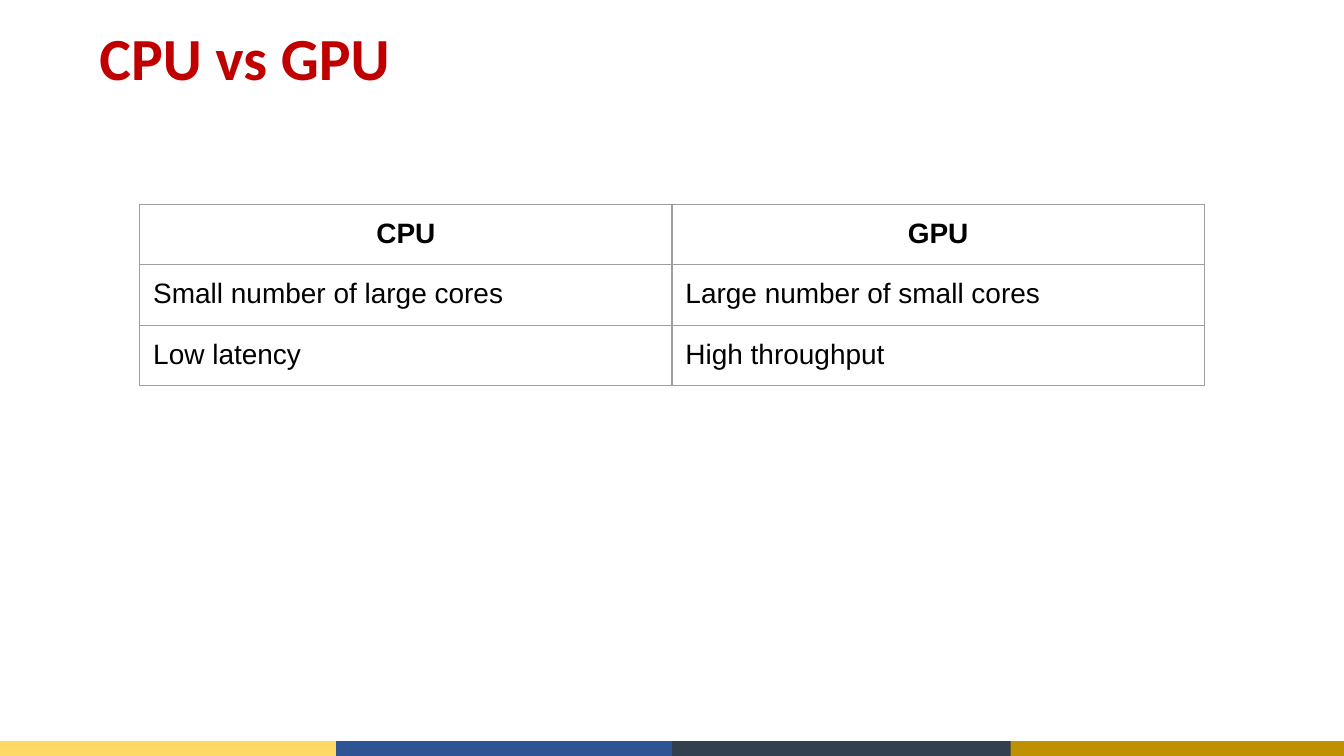
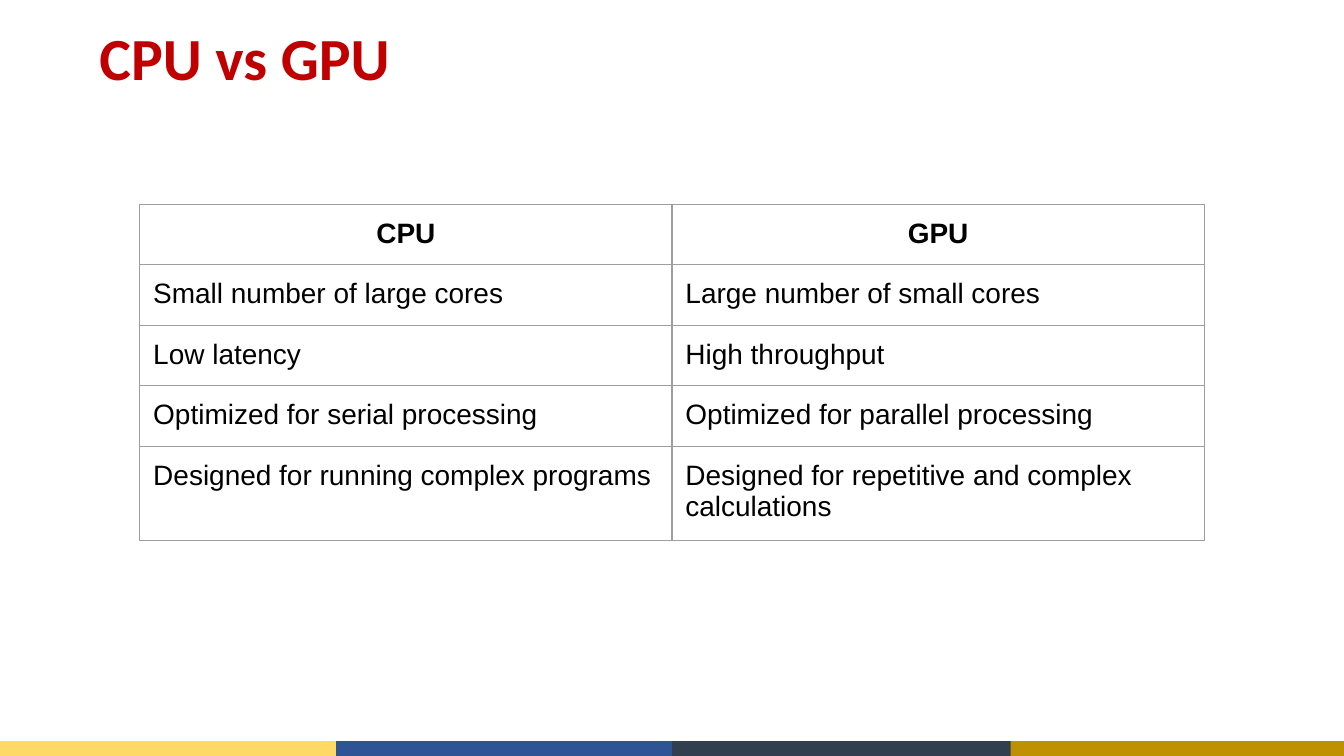
from dataclasses import dataclass
from typing import Any

from lxml import etree
from pptx import Presentation
from pptx.dml.color import RGBColor
from pptx.enum.shapes import MSO_SHAPE
from pptx.enum.text import MSO_ANCHOR, PP_ALIGN
from pptx.oxml.ns import qn
from pptx.util import Inches, Pt

RECT = MSO_SHAPE.RECTANGLE
MIDDLE, TOP = MSO_ANCHOR.MIDDLE, MSO_ANCHOR.TOP
LEFT, CENTER = PP_ALIGN.LEFT, PP_ALIGN.CENTER

# Shared look, on a 16:9 page
WIDE = 10
HIGH = WIDE * 9 / 16
RED, BLACK, GREY = "C00000", "000000", "9E9E9E"
TITLE = {"name": "Calibri", "size": Pt(32), "bold": True}
HEAD = {"name": "Arial", "size": Pt(15), "bold": True}
BODY = {**HEAD, "bold": False}
SIDES = ("left", "right", "top", "bottom")
EDGES = ("a:lnL", "a:lnR", "a:lnT", "a:lnB")


@dataclass
class Band:
    slot: int
    color: str
    lap: float = 0.02


# Footer bands from back to front; each laps under its neighbour
BANDS = [
    Band(0, "FFD966"),
    Band(3, "BF9000", 0),
    Band(1, "2F5496"),
    Band(2, "323F4F"),
]
BAND_W, BAND_H = WIDE / len(BANDS), 0.11

# Table content: the second slide shows every row
ROWS = [
    ("CPU", "GPU"),
    ("Small number of large cores", "Large number of small cores"),
    ("Low latency", "High throughput"),
    ("Optimized for serial processing", "Optimized for parallel processing"),
    ("Designed for running complex programs",
     "Designed for repetitive and complex calculations"),
]
COL_W, ROW_H = 3.96, 0.42


def rgb(code: str) -> RGBColor:
    return RGBColor.from_string(code)


def format_font(font: Any, style: dict[str, Any], color: str) -> None:
    for key, value in style.items():
        setattr(font, key, value)
    font.color.rgb = rgb(color)


def set_inset(box: Any, insets: tuple[float, ...]) -> None:
    for side, inset in zip(SIDES, insets):
        setattr(box, f"margin_{side}", Inches(inset))


def draw_band(slide: Any, band: Band) -> None:
    shape = slide.shapes.add_shape(
        RECT, Inches(band.slot * BAND_W), Inches(HIGH - BAND_H),
        Inches(BAND_W + band.lap), Inches(BAND_H))
    shape.shadow.inherit = False
    shape.fill.solid()
    shape.fill.fore_color.rgb = rgb(band.color)
    shape.line.fill.background()


def draw_title(slide: Any, text: str) -> None:
    box = slide.shapes.add_textbox(
        Inches(0.69), Inches(0.07), Inches(8.62), Inches(0.77))
    frame = box.text_frame
    frame.word_wrap = True
    frame.vertical_anchor = MIDDLE
    set_inset(frame, (0.05, 0.05, 0.02, 0.02))
    para = frame.paragraphs[0]
    para.text = text
    para.line_spacing = 0.9
    format_font(para.runs[0].font, TITLE, RED)


def draw_edges(cell: Any) -> None:
    props = cell._tc.get_or_add_tcPr()
    for spot, edge in enumerate(EDGES):
        line = etree.Element(qn(edge), w=str(Pt(0.75)))
        fill = etree.SubElement(line, qn("a:solidFill"))
        etree.SubElement(fill, qn("a:srgbClr"), val=GREY)
        props.insert(spot, line)


def fill_cell(cell: Any, text: str, head: bool) -> None:
    cell.fill.background()
    cell.vertical_anchor = TOP
    set_inset(cell, (0.1,) * 4)
    para = cell.text_frame.paragraphs[0]
    para.text = text
    para.alignment = CENTER if head else LEFT
    para.line_spacing = 1.0
    format_font(para.runs[0].font, HEAD if head else BODY, BLACK)
    draw_edges(cell)


def draw_table(slide: Any, rows: list[tuple[str, str]]) -> None:
    cols = len(rows[0])
    table = slide.shapes.add_table(
        len(rows), cols, Inches(1.04), Inches(1.52),
        Inches(COL_W * cols), Inches(ROW_H * len(rows))).table
    table.first_row = table.horz_banding = False
    for col in table.columns:
        col.width = Inches(COL_W)
    for r, row in enumerate(rows):
        table.rows[r].height = Inches(ROW_H)
        for c, text in enumerate(row):
            fill_cell(table.cell(r, c), text, r == 0)


def main() -> None:
    deck = Presentation()
    deck.slide_width, deck.slide_height = Inches(WIDE), Inches(HIGH)
    for count in (3, len(ROWS)):
        slide = deck.slides.add_slide(deck.slide_layouts[6])
        for band in BANDS:
            draw_band(slide, band)
        draw_title(slide, "CPU vs GPU")
        draw_table(slide, ROWS[:count])
    deck.save("out.pptx")


if __name__ == "__main__":
    main()
